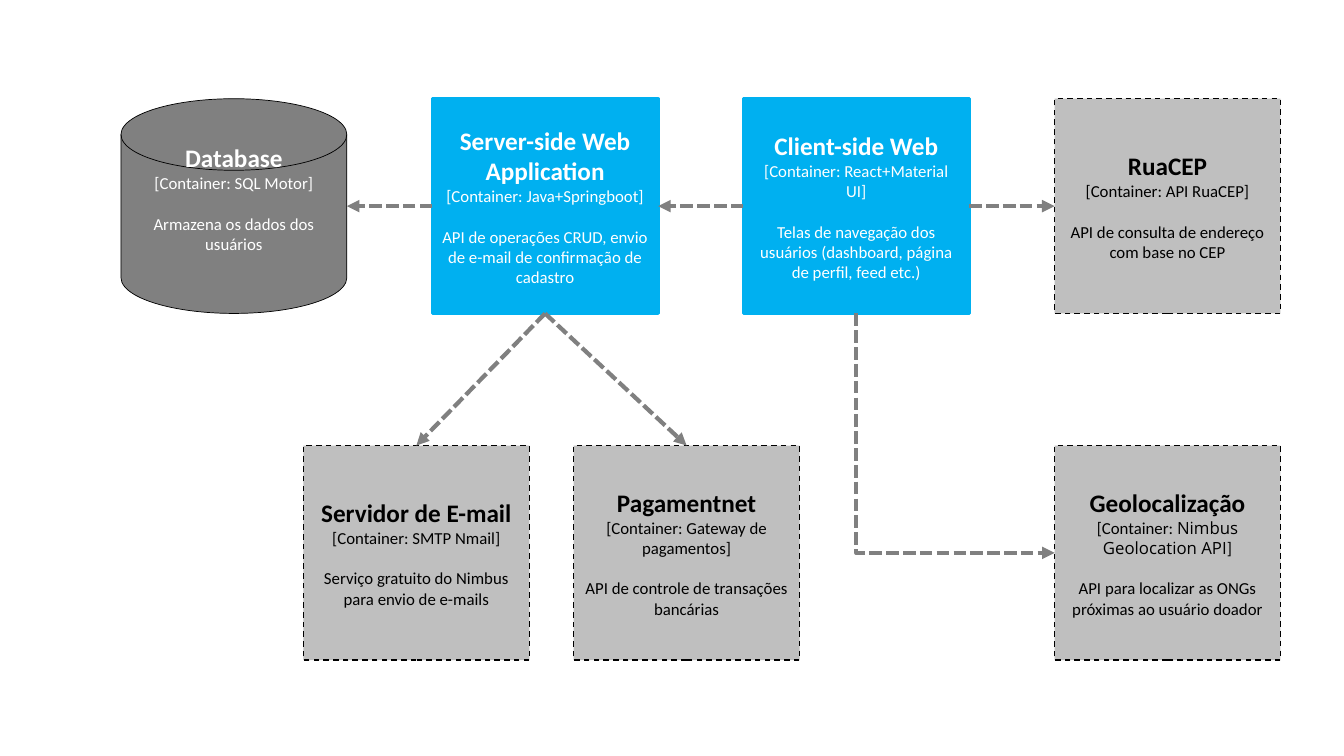
"""Draw the container diagram of a donation platform."""
from collections import namedtuple
from lxml.etree import SubElement
from pptx import Presentation
from pptx.dml.color import RGBColor
from pptx.enum.dml import MSO_LINE
from pptx.enum.shapes import MSO_CONNECTOR, MSO_SHAPE
from pptx.enum.text import MSO_ANCHOR, PP_ALIGN
from pptx.oxml.ns import qn
from pptx.util import Inches, Pt

Kind = namedtuple("Kind", "form fill edge width dash ink base")
THEME = {
    "font": "Calibri", "alt": "Open Sans", "head": 18, "body": 12, "gap": 14.6,
    "arrow": "808080", "stroke": 3,
    "app": Kind(MSO_SHAPE.RECTANGLE, "00B0F0", "00B0F0", 2.25, None, "FFFFFF", 0.05),
    "ext": Kind(MSO_SHAPE.RECTANGLE, "BFBFBF", "000000", 1, MSO_LINE.DASH, "000000", 0.05),
    "data": Kind(MSO_SHAPE.FLOWCHART_MAGNETIC_DISK, "808080", "000000", 0.5, None, "FFFFFF", 0.56),
}

LEFT, STEP = 1.2, (10.46 - 1.2) / 3
COLS = [LEFT + i * STEP for i in range(4)]
TOP, LOW = 0.98, 4.42
WIDE, HIGH = 2.24, 2.13

BOXES = {
    "server": ("app", COLS[1], TOP, "Server-side Web Application", ["Java+Springboot"],
               "API de operações CRUD, envio de e-mail de confirmação de cadastro"),
    "client": ("app", COLS[2], TOP, "Client-side Web", ["React+Material UI"],
               "Telas de navegação dos usuários (dashboard, página de perfil, feed etc.)"),
    "pay": ("ext", 5.69, LOW, "Pagamentnet", ["Gateway de pagamentos"],
            "API de controle de transações bancárias"),
    "cep": ("ext", COLS[3], TOP, "RuaCEP", ["API RuaCEP"],
            "API de consulta de endereço com base no CEP"),
    "mail": ("ext", 3.01, LOW, "Servidor de E-mail", ["SMTP Nmail"],
             "Serviço gratuito do Nimbus para envio de e-mails"),
    "data": ("data", COLS[0], TOP, "Database", ["SQL Motor"],
             "Armazena os dados dos usuários"),
    "geo": ("ext", COLS[3], LOW, "Geolocalização", ["", "Nimbus Geolocation API"],
            "API para localizar as ONGs próximas ao usuário doador"),
}
LINKS = [
    ("client", "left", "server", "right"),
    ("server", "left", "data", "right"),
    ("server", "bottom", "mail", "top"),
    ("server", "bottom", "pay", "top"),
    ("client", "right", "cep", "left"),
    ("client", "bottom", "geo", "left"),
]
SIDES = {"left": (0, 0.5), "right": (1, 0.5), "top": (0.5, 0), "bottom": (0.5, 1)}


def color(code):
    return RGBColor.from_string(code)


def write(para, size, ink, bold=False):
    para.alignment = PP_ALIGN.CENTER
    font = para.font
    font.name, font.size, font.bold = THEME["font"], Pt(size), bold
    font.color.rgb = color(ink)


def draw_box(slide, name, x, y, title, tech, note):
    kind = THEME[name]
    box = slide.shapes.add_shape(kind.form, Inches(x), Inches(y), Inches(WIDE), Inches(HIGH))
    box.shadow.inherit = False
    box.fill.solid()
    box.fill.fore_color.rgb = color(kind.fill)
    box.line.color.rgb = color(kind.edge)
    box.line.width = Pt(kind.width)
    if kind.dash:
        box.line.dash_style = kind.dash
    frame = box.text_frame
    frame.word_wrap = True
    frame.vertical_anchor = MSO_ANCHOR.MIDDLE
    frame.margin_bottom = Inches(kind.base)
    head, mid, last = frame.paragraphs[0], frame.add_paragraph(), frame.add_paragraph()
    head.text, last.text = title, note
    write(head, THEME["head"], kind.ink, True)
    write(mid, THEME["body"], kind.ink)
    write(last, THEME["body"], kind.ink)
    last.space_before = Pt(THEME["gap"])
    if len(tech) == 1:
        mid.text = f"[Container: {tech[0]}]"
    else:
        for part, face in (("[Container: ", "font"), (tech[1], "alt"), ("]", "font")):
            run = mid.add_run()
            run.text, run.font.name = part, THEME[face]


def spot(name, side):
    x, y = BOXES[name][1:3]
    across, down = SIDES[side]
    return x + across * WIDE, y + down * HIGH


def draw_link(slide, start, out, end, into):
    (x1, y1), (x2, y2) = spot(start, out), spot(end, into)
    bent = out == "bottom" and into == "left"
    form = MSO_CONNECTOR.ELBOW if bent else MSO_CONNECTOR.STRAIGHT
    if bent:
        midx, midy = (x1 + x2) / 2, (y1 + y2) / 2
        halfx, halfy = (y2 - y1) / 2, (x2 - x1) / 2
        x1, y1, x2, y2 = midx + halfx, midy - halfy, midx - halfx, midy + halfy
    link = slide.shapes.add_connector(form, *map(Inches, (x1, y1, x2, y2)))
    props = link._element.spPr
    if bent:
        props.find(qn("a:xfrm")).set("rot", str(270 * 60000))
        props.find(qn("a:prstGeom")).set("prst", "bentConnector2")
    link.line.color.rgb = color(THEME["arrow"])
    link.line.width = Pt(THEME["stroke"])
    link.line.dash_style = MSO_LINE.SQUARE_DOT
    SubElement(props.find(qn("a:ln")), qn("a:tailEnd")).set("type", "triangle")
    SubElement(props, qn("a:effectLst"))


deck = Presentation()
deck.slide_width, deck.slide_height = Inches(13.33), Inches(7.5)
page = deck.slides.add_slide(deck.slide_layouts[6])
for item in BOXES.values():
    draw_box(page, *item)
for item in LINKS:
    draw_link(page, *item)
deck.save("out.pptx")
